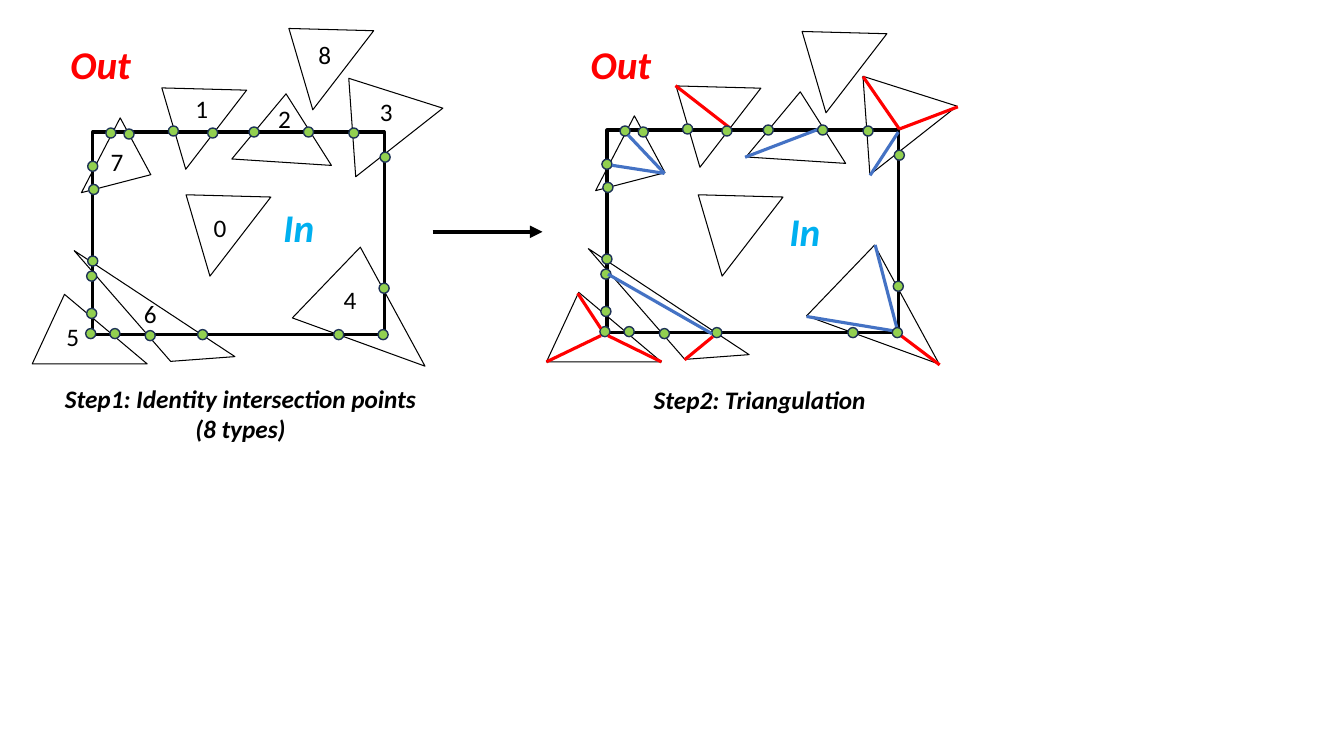
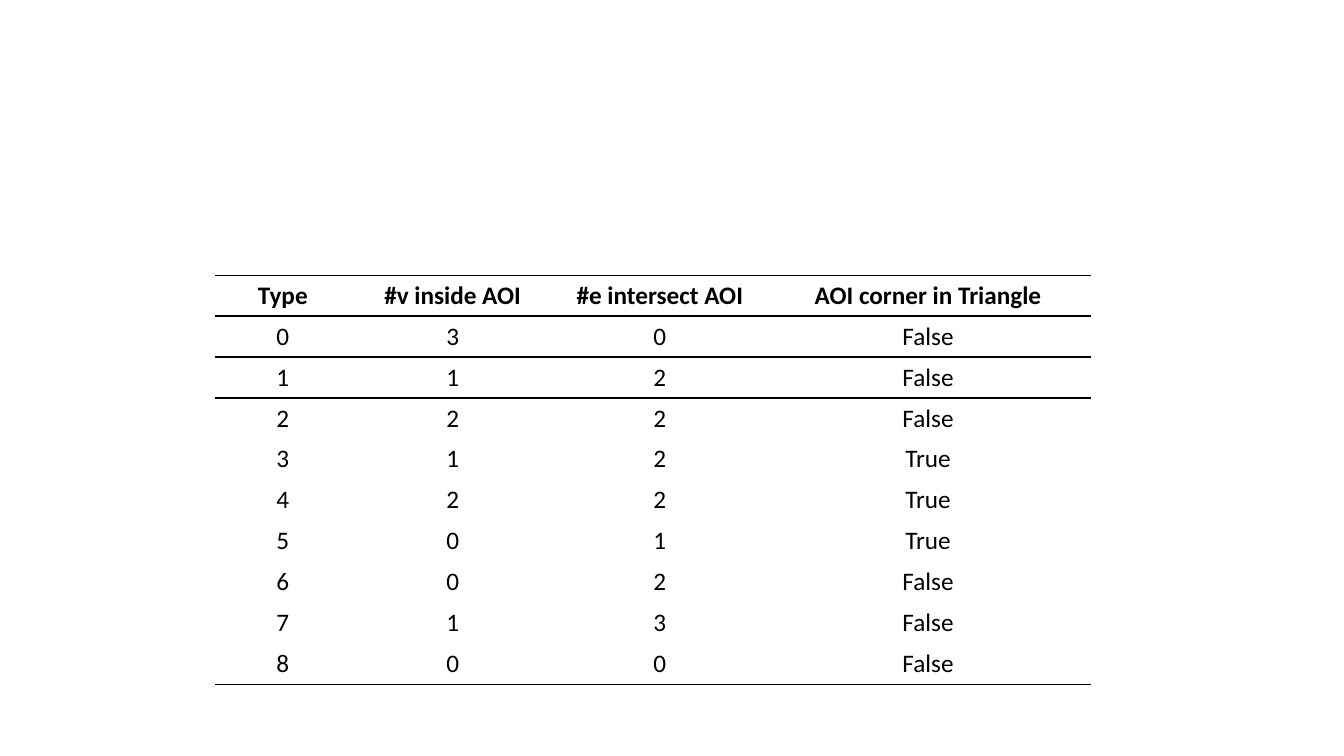
from lxml import etree
from pptx import Presentation
from pptx.dml.color import RGBColor
from pptx.enum.shapes import MSO_CONNECTOR, MSO_SHAPE
from pptx.enum.text import MSO_ANCHOR, MSO_AUTO_SIZE, PP_ALIGN
from pptx.oxml.ns import qn
from pptx.util import Inches, Pt

FONT = "Calibri"
COLORS = {"ink": "000000", "out": "FF0000", "in": "00B0F0", "inner": "4472C4",
          "point": "92D050", "rim": "1E3256"}
NO_GRID_STYLE = "{2D5ABB26-0587-4C30-8999-92F81FD0307C}"
SHIFT = (5.1, -0.02)
POINT = 0.1

TRIANGLES = [
    (3.16, 0.69, 1.1, 0.81, 321.8, 0.5),
    (1.38, 0.74, 0.99, 0.68, 307.6, 0.5),
    (2.32, 0.93, 0.99, 0.68, 3.7, 0.5),
    (3.01, 2.53, 1.4, 0.89, 20, 0.281),
    (0.32, 2.92, 1.14, 0.69, 0, 0.281),
    (0.47, 2.98, 1.91, 0.39, 213.4, 0.265),
    (0.72, 1.27, 0.64, 0.69, 241.7, 0.265),
]
POINTS = [
    (1.67, 1.25), (2.06, 1.27), (2.47, 1.26), (3.01, 1.26), (3.46, 1.27),
    (3.77, 1.51), (3.76, 2.81), (3.31, 3.27), (3.75, 3.27),
    (0.86, 3.06), (1.09, 3.26), (0.85, 3.26),
    (0.86, 2.69), (1.44, 3.28), (0.87, 2.54), (1.96, 3.27),
    (0.87, 1.6), (0.88, 1.83), (1.05, 1.27), (1.23, 1.28),
]
UNCUT_LEFT = [(1.62, 1.8), (2.64, 0.15)]
UNCUT_RIGHT = [(6.7, 1.8), (7.73, 0.18)]
NUMBERS = [(2.02, 2.06), (1.84, 0.88), (2.66, 0.98), (3.67, 0.91), (3.31, 2.77),
           (0.56, 3.14), (1.33, 2.91), (1, 1.4), (3.06, 0.34)]
CUTS_BELOW = {
    "inner": [(8.68, 2.43, 8.91, 3.31), (8, 3.14, 8.91, 3.29),
              (8.63, 1.74, 8.91, 1.31), (7.39, 1.56, 8.15, 1.27)],
    "out": [(8.56, 0.76, 8.92, 1.28), (9.5, 1.06, 8.92, 1.28),
            (9.32, 3.62, 8.91, 3.31), (6.7, 0.85, 7.24, 1.27)],
}
CUTS_ABOVE = {
    "inner": [(6.23, 1.34, 6.59, 1.72), (6.07, 1.64, 6.59, 1.72),
              (6.03, 2.72, 7.06, 3.31)],
    "out": [(5.96, 3.26, 5.73, 2.91), (5.96, 3.33, 5.42, 3.59),
            (6.03, 3.33, 6.56, 3.59), (6.79, 3.57, 7.07, 3.34)],
}
COLUMNS = [("Type", 1.35), ("#v inside AOI", 2.02), ("#e intersect AOI", 2.09),
           ("AOI corner in Triangle", 3.23)]
TYPES = [(3, 0, False), (1, 2, False), (2, 2, False), (1, 2, True), (2, 2, True),
         (0, 1, True), (0, 2, False), (1, 3, False), (0, 0, False)]


def rgb(name):
    """Look up a palette colour."""
    return RGBColor.from_string(COLORS[name])


def add_run(p, text, size=18, color="ink", bold=False, italic=False):
    """Append one formatted run to a paragraph."""
    r = p.add_run()
    r.text = text
    f = r.font
    f.name, f.size, f.bold, f.italic = FONT, Pt(size), bold, italic
    f.color.rgb = rgb(color)


def add_label(s, box, lines, align=PP_ALIGN.LEFT, **style):
    """Add an unwrapped text box with one paragraph per line."""
    tf = s.shapes.add_textbox(*map(Inches, box)).text_frame
    tf.word_wrap = False
    tf.auto_size = MSO_AUTO_SIZE.SHAPE_TO_FIT_TEXT
    for i, line in enumerate(lines):
        p = tf.add_paragraph() if i else tf.paragraphs[0]
        p.alignment = align
        add_run(p, line, **style)


def add_outline(s, kind, box, width, line="ink", fill=None):
    """Add a preset shape with a line and an optional fill."""
    sp = s.shapes.add_shape(kind, *map(Inches, box))
    sp.shadow.inherit = False
    if fill:
        sp.fill.solid()
        sp.fill.fore_color.rgb = rgb(fill)
    else:
        sp.fill.background()
    sp.line.color.rgb = rgb(line)
    sp.line.width = Pt(width)
    return sp


def add_triangle(s, x, y, w, h, angle, apex=0.5):
    """Add a thin rotated triangle."""
    sp = add_outline(s, MSO_SHAPE.ISOSCELES_TRIANGLE, (x, y, w, h), 0.75)
    sp.adjustments[0] = apex
    sp.rotation = angle


def add_line(s, ends, color, width=2.25, arrow=False):
    """Add a straight line, with an arrowhead at its end if asked."""
    c = s.shapes.add_connector(MSO_CONNECTOR.STRAIGHT, *map(Inches, ends))
    c.line.color.rgb = rgb(color)
    c.line.width = Pt(width)
    if arrow:
        etree.SubElement(c.line._get_or_add_ln(), qn("a:tailEnd"), type="triangle")
    etree.SubElement(c._element.spPr, qn("a:effectLst"))


def add_cuts(s, cuts):
    """Add the triangulation edges of each colour."""
    for color, lines in cuts.items():
        for ends in lines:
            add_line(s, ends, color)


def add_area(s, dx, dy, uncut):
    """Add the rectangle and the triangles around it."""
    add_outline(s, MSO_SHAPE.RECTANGLE, (0.92 + dx, 1.31 + dy, 2.89, 2.01), 2.25)
    for x, y, *rest in TRIANGLES:
        add_triangle(s, x + dx, y + dy, *rest)
    for x, y in uncut:
        add_triangle(s, x, y, 0.99, 0.68, 307.6)


def add_points(s, dx, dy):
    """Add the intersection points."""
    for x, y in POINTS:
        add_outline(s, MSO_SHAPE.OVAL, (x + dx, y + dy, POINT, POINT), 1,
                    "rim", "point")


def add_sides(s, out_at, in_at):
    """Name the outer and inner side of the rectangle."""
    style = dict(size=28, bold=True, italic=True)
    add_label(s, (*out_at, 0.81, 0.57), ["Out"], color="out", **style)
    add_label(s, (*in_at, 0.51, 0.57), ["In"], color="in", **style)


def add_caption(s, box, lines):
    """Add a centred step caption."""
    add_label(s, box, lines, PP_ALIGN.CENTER, bold=True, italic=True)


def add_border(cell, side):
    """Draw a one-point rule on one side of a cell."""
    ln = etree.Element(qn(f"a:{side}"), w=str(Pt(1)))
    fill = etree.SubElement(ln, qn("a:solidFill"))
    etree.SubElement(fill, qn("a:srgbClr"), val=COLORS["ink"])
    tc_pr = cell._tc.get_or_add_tcPr()
    tc_pr.insert(len(tc_pr.findall(qn("a:lnT"))), ln)


def build_steps(s):
    """Build the two clipping steps."""
    add_area(s, 0, 0, UNCUT_LEFT)
    add_points(s, 0, 0)
    for i, at in enumerate(NUMBERS):
        add_label(s, (*at, 0.33, 0.4), [str(i)])
    add_sides(s, (0.6, 0.35), (2.71, 1.97))
    add_caption(s, (0.52, 3.75, 3.73, 0.71),
                ["Step1: Identity intersection points", "(8 types)"])
    add_line(s, (4.29, 2.3, 5.38, 2.3), "ink", 3, arrow=True)
    add_area(s, *SHIFT, UNCUT_RIGHT)
    add_cuts(s, CUTS_BELOW)
    add_points(s, *SHIFT)
    add_cuts(s, CUTS_ABOVE)
    add_sides(s, (5.76, 0.35), (7.73, 2.01))
    add_caption(s, (6.37, 3.76, 2.33, 0.4), ["Step2: Triangulation"])


def build_types(s):
    """Build the table of triangle types."""
    rows = [[name for name, _ in COLUMNS]]
    rows += [[i, *values] for i, values in enumerate(TYPES)]
    width = sum(w for _, w in COLUMNS)
    t = s.shapes.add_table(len(rows), len(COLUMNS), Inches(2.13), Inches(2.73),
                           Inches(width), Inches(4.06)).table
    t.first_row = t.horz_banding = False
    t._tbl.tblPr.find(qn("a:tableStyleId")).text = NO_GRID_STYLE
    for col, (_, w) in zip(t.columns, COLUMNS):
        col.width = Inches(w)
    for i, row in enumerate(rows):
        for j, value in enumerate(row):
            cell = t.cell(i, j)
            cell.fill.background()
            cell.vertical_anchor = MSO_ANCHOR.MIDDLE
            p = cell.text_frame.paragraphs[0]
            p.alignment = PP_ALIGN.CENTER
            add_run(p, str(value), bold=i == 0)
            if i <= 2:
                add_border(cell, "lnT")
            if i in (0, 1, len(rows) - 1):
                add_border(cell, "lnB")


def main():
    """Build and save the presentation."""
    prs = Presentation()
    prs.slide_width, prs.slide_height = Inches(13.33), Inches(7.5)
    for build in (build_steps, build_types):
        build(prs.slides.add_slide(prs.slide_layouts[6]))
    prs.save("out.pptx")


if __name__ == "__main__":
    main()
